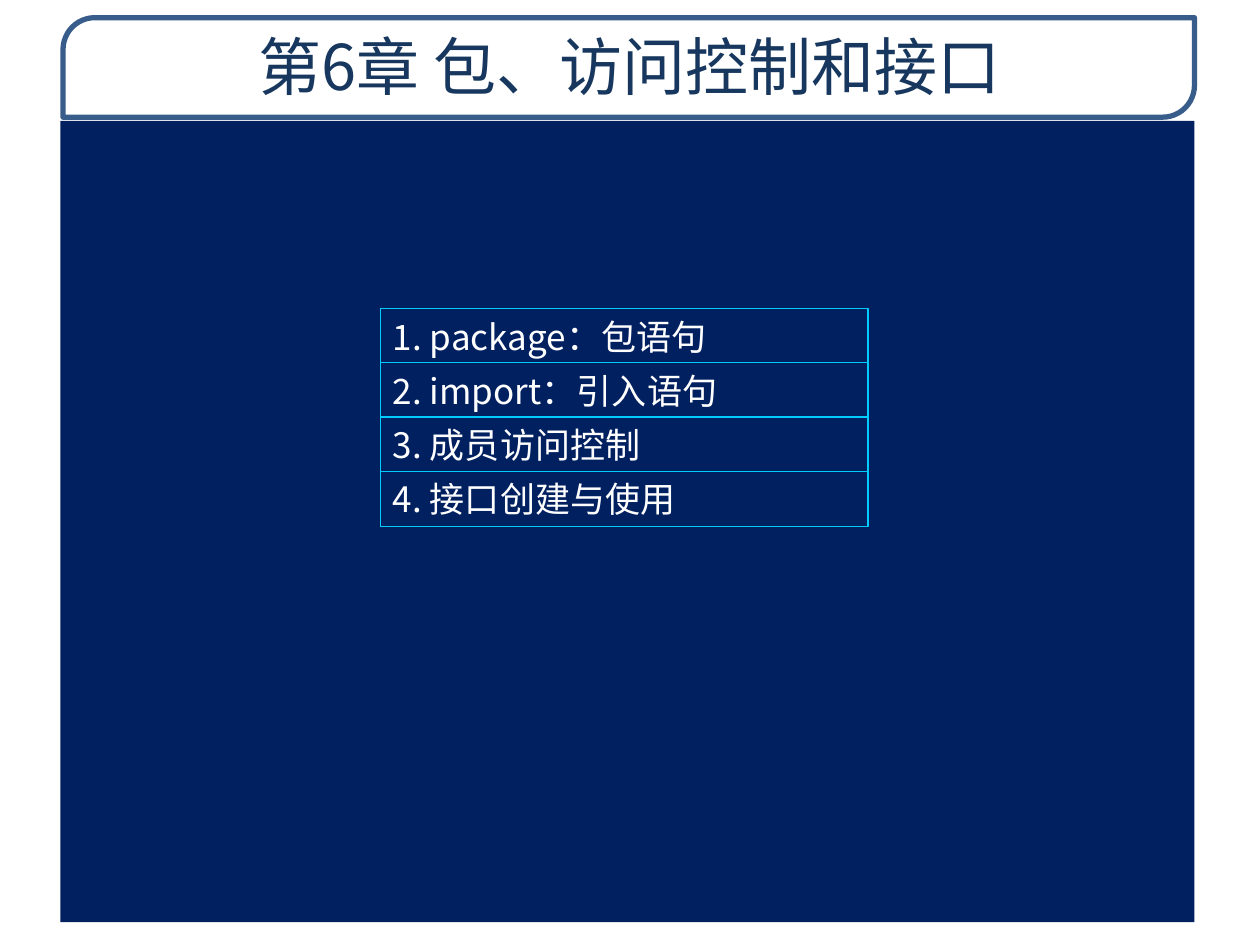
import pptx
import pptx.util
import pptx.dml.color
import pptx.enum.shapes
import pptx.enum.text
import lxml.etree
import pptx.oxml.ns

COLORS = {
    "navy": "002060",
    "white": "FFFFFF",
    "frame": "385D8A",
    "title": "17375E",
    "cyan": "00CCFF",
}
FONT = "Noto Sans CJK SC"
TOPICS = ["1. package：包语句", "2. import：引入语句", "3. 成员访问控制", "4. 接口创建与使用"]

deck = pptx.Presentation()
deck.slide_width = pptx.util.Inches(10)
deck.slide_height = pptx.util.Inches(7.5)
column = deck.slide_width / 100
row = deck.slide_height / 75
slide = deck.slides.add_slide(deck.slide_layouts[6])
PRESETS = pptx.enum.shapes.MSO_SHAPE
ALIGN = pptx.enum.text.PP_ALIGN


def add_panel(preset, left, top, width, height, fill, line=None, weight=0):
    panel = slide.shapes.add_shape(
        preset, round(left * column), round(top * row), round(width * column), round(height * row)
    )
    panel.shadow.inherit = False
    panel.fill.solid()
    panel.fill.fore_color.rgb = pptx.dml.color.RGBColor.from_string(COLORS[fill])
    if line:
        panel.line.color.rgb = pptx.dml.color.RGBColor.from_string(COLORS[line])
        panel.line.width = pptx.util.Pt(weight)
    else:
        panel.line.fill.background()
    return panel


def write(panel, text, size, color, align):
    frame = panel.text_frame
    frame.text = text
    frame.word_wrap = True
    frame.vertical_anchor = pptx.enum.text.MSO_ANCHOR.MIDDLE
    paragraph = frame.paragraphs[0]
    paragraph.alignment = align
    run = paragraph.runs[0]
    run.font.name = FONT
    run.font.size = pptx.util.Pt(size)
    run.font.color.rgb = pptx.dml.color.RGBColor.from_string(COLORS[color])
    east_asian = lxml.etree.SubElement(run.font._element, pptx.oxml.ns.qn("a:ea"))
    east_asian.set("typeface", FONT)


title_frame = add_panel(PRESETS.ROUND_2_DIAG_RECTANGLE, 5, 1.4, 89.8, 7.9, "white", "frame", 3)
title_frame.adjustments[0] = 0.32
title_frame.adjustments[1] = 0

chapter_title = slide.shapes.add_textbox(
    round(5.1 * column), round(1.4 * row), round(89.7 * column), round(7.6 * row)
)
write(chapter_title, "第6章 包、访问控制和接口", 36, "title", ALIGN.CENTER)

add_panel(PRESETS.RECTANGLE, 4.8, 9.6, 90, 63.6, "navy")

for index, topic in enumerate(TOPICS):
    topic_bar = add_panel(
        PRESETS.RECTANGLE, 30.2, 24.5 + 4.3 * index, 38.7, 4.4, "navy", "cyan", 0.75
    )
    write(topic_bar, topic, 20, "white", ALIGN.LEFT)

deck.save("out.pptx")
